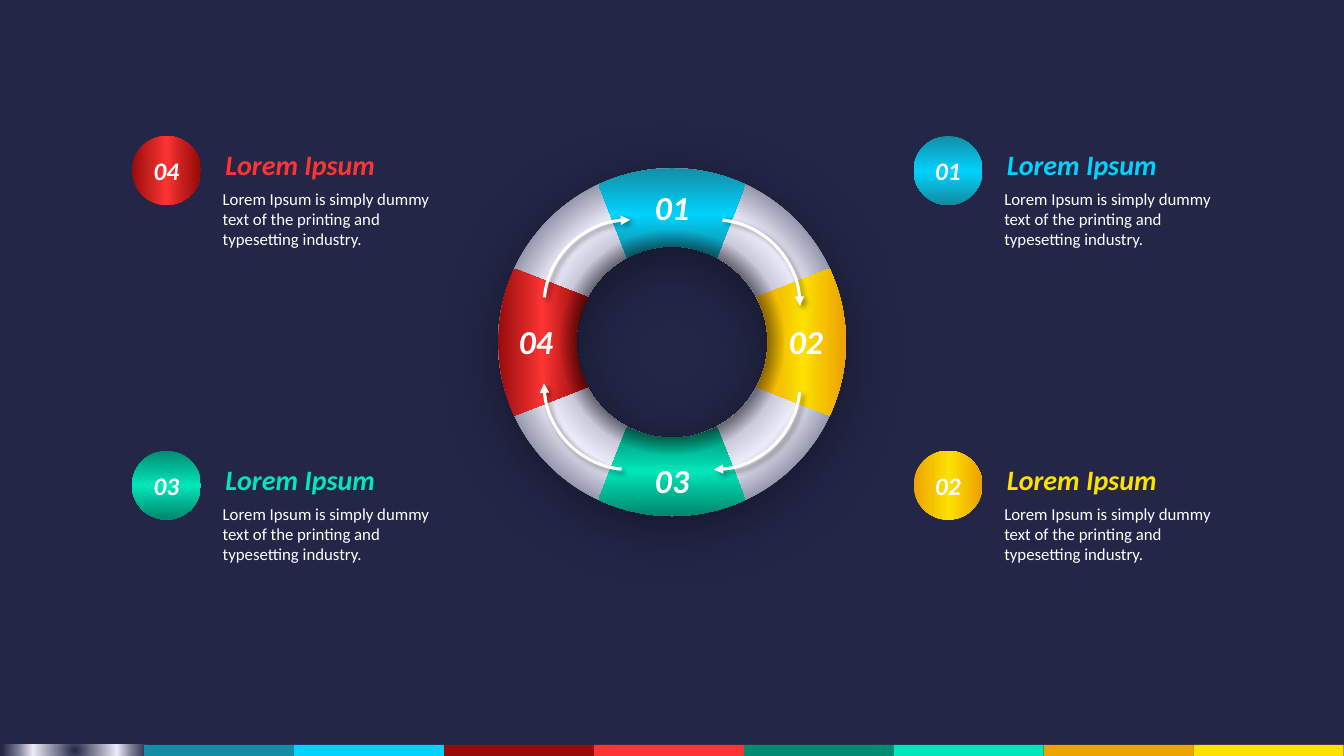
from math import cos, radians, sin, tan

from lxml.etree import SubElement
from pptx import Presentation
from pptx.dml.color import RGBColor
from pptx.enum.shapes import MSO_SHAPE as Preset
from pptx.enum.text import MSO_ANCHOR as Anchor, MSO_AUTO_SIZE as AutoSize, PP_ALIGN as Align
from pptx.oxml.ns import qn
from pptx.oxml.xmlchemy import OxmlElement
from pptx.util import Pt

NAVY = RGBColor(0x23, 0x26, 0x47)
WHITE = RGBColor(0xFF, 0xFF, 0xFF)
BLACK = RGBColor(0x00, 0x00, 0x00)
SLATE, SLATE_2 = RGBColor(0x7E, 0x7F, 0x97), RGBColor(0x7E, 0x80, 0x98)
PEARL = RGBColor(0xEC, 0xEB, 0xF9)
DARK_CYAN, CYAN = RGBColor(0x13, 0x8D, 0xA5), RGBColor(0x00, 0xD3, 0xFE)
DARK_RED, RED = RGBColor(0x98, 0x0B, 0x0B), RGBColor(0xFC, 0x35, 0x34)
DARK_GREEN, GREEN = RGBColor(0x01, 0x8B, 0x70), RGBColor(0x01, 0xE7, 0xB9)
AMBER, YELLOW = RGBColor(0xED, 0xA4, 0x00), RGBColor(0xFD, 0xE1, 0x00)
MID_CYAN, MID_CYAN_2 = RGBColor(0x0A, 0xAE, 0xCF), RGBColor(0x0A, 0xB0, 0xD1)
MID_RED, MID_RED_2 = RGBColor(0xCB, 0x21, 0x20), RGBColor(0xC5, 0x1E, 0x1D)
MID_GREEN, MID_GREEN_2 = RGBColor(0x01, 0xB5, 0x92), RGBColor(0x01, 0xB0, 0x8E)
GOLD, GOLD_2 = RGBColor(0xF4, 0xC0, 0x00), RGBColor(0xF5, 0xC2, 0x00)

HEADING = "Lorem Ipsum"
BODY = "Lorem Ipsum is simply dummy text of the printing and typesetting industry."
SILVER_STOPS = [(0, NAVY), (25, SLATE), (56, PEARL), (75, SLATE_2), (97, NAVY)]
SHADE_STOPS = [(0, BLACK, 0), (60, BLACK, 40), (71, BLACK, 0), (97, BLACK, 0)]
BAR_COLOURS = [DARK_CYAN, CYAN, DARK_RED, RED, DARK_GREEN, GREEN, AMBER, YELLOW]
STEPS = [
    dict(number="01", bearing=0, label_at=(480, 148), column=1, row=0, accent=CYAN, angle=90,
         stops=[(0, DARK_CYAN), (24, MID_CYAN), (51, CYAN), (74, MID_CYAN_2), (97, DARK_CYAN)]),
    dict(number="02", bearing=90, label_at=(575.6, 243.8), column=1, row=1, accent=YELLOW, angle=0,
         stops=[(0, AMBER), (24, GOLD), (52, YELLOW), (75, GOLD_2), (97, AMBER)]),
    dict(number="03", bearing=180, label_at=(480, 343.1), column=0, row=1, accent=GREEN, angle=90,
         stops=[(0, DARK_GREEN), (23, MID_GREEN), (50, GREEN), (78, MID_GREEN_2), (97, DARK_GREEN)]),
    dict(number="04", bearing=270, label_at=(382.7, 243.8), column=0, row=0, accent=RED, angle=0,
         stops=[(0, DARK_RED), (26, MID_RED), (50, RED), (74, MID_RED_2), (97, DARK_RED)]),
]

WIDTH, HEIGHT = 960, 540
CENTRE_X, CENTRE_Y = 480, 244.4
OUTER, INNER, SHADE_RADIUS = 124.2, 68.3, 80.3
OUTER_HALF, INNER_HALF = 25, 28
ARC_SIZE, ARC_DX, ARC_DY, ARC_MIDDLE_Y = 123.1, 29.9, 27.7, 246.2
LABEL_W, LABEL_H = 42.5, 36.3
COLUMNS, ROWS, BADGE = (94.3, 652.6), (97.2, 322), 49.2
BAR_START, BAR_STEP, BAR_H = 103, 107.1, 7.9

deck = Presentation()
deck.slide_width, deck.slide_height = Pt(WIDTH), Pt(HEIGHT)
slide = deck.slides.add_slide(deck.slide_layouts[6])
shapes = slide.shapes


def add_colour(parent, colour, alpha=100):
    tag = SubElement(parent, qn("a:srgbClr"), val=str(colour))
    if alpha < 100:
        SubElement(tag, qn("a:alpha"), val=str(alpha * 1000))


def paint(shape, stops, angle=None):
    shape.shadow.inherit = False
    shape.line.fill.background()
    shape.fill.background()
    gradient = OxmlElement("a:gradFill")
    gradient.set("rotWithShape", "1")
    stop_list = SubElement(gradient, qn("a:gsLst"))
    for position, *colour in stops:
        add_colour(SubElement(stop_list, qn("a:gs"), pos=str(position * 1000)), *colour)
    if angle is None:
        radial = SubElement(gradient, qn("a:path"), path="circle")
        SubElement(radial, qn("a:fillToRect"), l="50000", t="50000", r="50000", b="50000")
    else:
        SubElement(gradient, qn("a:lin"), ang=str(angle * 60000), scaled="0")
    properties = shape._element.spPr
    properties.replace(properties.find(qn("a:noFill")), gradient)


def cast_shadow(shape, blur, distance, angle):
    shape.shadow.inherit = False
    effects = shape._element.spPr.find(qn("a:effectLst"))
    outer = SubElement(effects, qn("a:outerShdw"), blurRad=str(Pt(blur)), dist=str(Pt(distance)),
                       dir=str(angle * 60000), algn="ctr", rotWithShape="0")
    add_colour(outer, BLACK, 40)


def add_preset(preset, left, top, width, height, parent=shapes):
    return parent.add_shape(preset, Pt(left), Pt(top), Pt(width), Pt(height))


def add_block(left, top, width, height, colour):
    block = add_preset(Preset.RECTANGLE, left, top, width, height)
    block.shadow.inherit = False
    block.line.fill.background()
    block.fill.solid()
    block.fill.fore_color.rgb = colour
    return block


def add_ring(parent, radius, hole, stops):
    ring = add_preset(Preset.DONUT, CENTRE_X - radius, CENTRE_Y - radius, 2 * radius, 2 * radius, parent)
    ring.adjustments[0] = hole
    paint(ring, stops)
    return ring


def add_box(left, top, width, height):
    return shapes.add_textbox(Pt(left), Pt(top), Pt(width), Pt(height))


def write(shape, text, size=12, colour=WHITE, strong=True, align=Align.LEFT, wrap=True):
    frame = shape.text_frame
    frame.word_wrap = wrap
    paragraph = frame.paragraphs[0]
    paragraph.alignment = align
    run = paragraph.add_run()
    run.text = text
    font = run.font
    font.name, font.size, font.bold, font.italic = "Calibri", Pt(size), strong, strong
    font.color.rgb = colour
    return frame


def ring_point(radius, bearing, reach=0):
    turn = radians(bearing)
    x = CENTRE_X + radius * (sin(turn) + reach * cos(turn))
    y = CENTRE_Y - radius * (cos(turn) - reach * sin(turn))
    return Pt(x), Pt(y)


def curve(radius, start, sweep):
    reach = 4 / 3 * tan(radians(sweep) / 4)
    end = start + sweep
    return [ring_point(radius, start, reach), ring_point(radius, end, -reach), ring_point(radius, end)]


def add_segment(parent, bearing):
    outer_start, inner_start = bearing - OUTER_HALF, bearing + INNER_HALF
    edge = curve(OUTER, outer_start, OUTER_HALF) + curve(OUTER, bearing, OUTER_HALF)
    edge.append(ring_point(INNER, inner_start))
    edge += curve(INNER, inner_start, -INNER_HALF) + curve(INNER, bearing, -INNER_HALF)
    builder = parent.build_freeform(*ring_point(OUTER, outer_start))
    builder.add_line_segments(edge, close=True)
    segment = builder.convert_to_shape()
    lines = list(segment._element.spPr.iter(qn("a:lnTo")))
    for first in (0, 3, 7, 10):
        bend = OxmlElement("a:cubicBezTo")
        lines[first].addprevious(bend)
        for line in lines[first:first + 3]:
            bend.append(line[0])
            line.getparent().remove(line)
    return segment


def add_arrow(parent, bearing):
    middle = radians(bearing + 45)
    x = CENTRE_X + (ARC_DX if sin(middle) > 0 else -ARC_DX)
    y = ARC_MIDDLE_Y - (ARC_DY if cos(middle) > 0 else -ARC_DY)
    arrow = add_preset(Preset.ARC, x - ARC_SIZE / 2, y - ARC_SIZE / 2, ARC_SIZE, ARC_SIZE, parent)
    arrow.adjustments[0], arrow.adjustments[1] = 165.43, 0
    arrow.rotation = bearing
    arrow.fill.background()
    arrow.line.color.rgb = WHITE
    arrow.line.width = Pt(2.25)
    SubElement(arrow.line._get_or_add_ln(), qn("a:tailEnd"), type="triangle")
    cast_shadow(arrow, 4, 3, 45)


backdrop = add_block(0, 0, WIDTH, HEIGHT, NAVY)
deck.slide_master.shapes._spTree.insert(2, backdrop._element)
paint(add_preset(Preset.RECTANGLE, 0, HEIGHT - BAR_H, BAR_STEP, BAR_H), SILVER_STOPS)
for place, colour in enumerate(BAR_COLOURS):
    add_block(BAR_START + place * BAR_STEP, HEIGHT - BAR_H, BAR_STEP, BAR_H, colour)

wheel = shapes.add_group_shape().shapes
cast_shadow(add_ring(wheel, OUTER, 0.225, SILVER_STOPS), 45, 8, 90)
for step in STEPS:
    paint(add_segment(wheel, step["bearing"]), step["stops"], step["angle"])
add_ring(shapes, SHADE_RADIUS, 0.08, SHADE_STOPS)
for bearings in ((270, 0), (90, 180)):
    arrow_pair = shapes.add_group_shape().shapes
    for bearing in bearings:
        add_arrow(arrow_pair, bearing)

for step in STEPS:
    label_x, label_y = step["label_at"]
    label = add_box(label_x - LABEL_W / 2, label_y - LABEL_H / 2, LABEL_W, LABEL_H)
    write(label, step["number"], size=24, align=Align.CENTER).auto_size = AutoSize.SHAPE_TO_FIT_TEXT
    left, top = COLUMNS[step["column"]], ROWS[step["row"]]
    badge = add_preset(Preset.OVAL, left, top, BADGE, BADGE)
    paint(badge, step["stops"], step["angle"])
    write(badge, step["number"], size=18, align=Align.CENTER, wrap=False).vertical_anchor = Anchor.MIDDLE
    heading = add_box(left + 59.6, top + 4.8, 122.8, 31.5)
    heading_text = write(heading, HEADING, size=20, colour=step["accent"], wrap=False)
    heading_text.auto_size = AutoSize.SHAPE_TO_FIT_TEXT
    body = add_box(left + 57.7, top + 34, 183, 51)
    write(body, BODY, strong=False).auto_size = AutoSize.SHAPE_TO_FIT_TEXT

deck.save("out.pptx")
